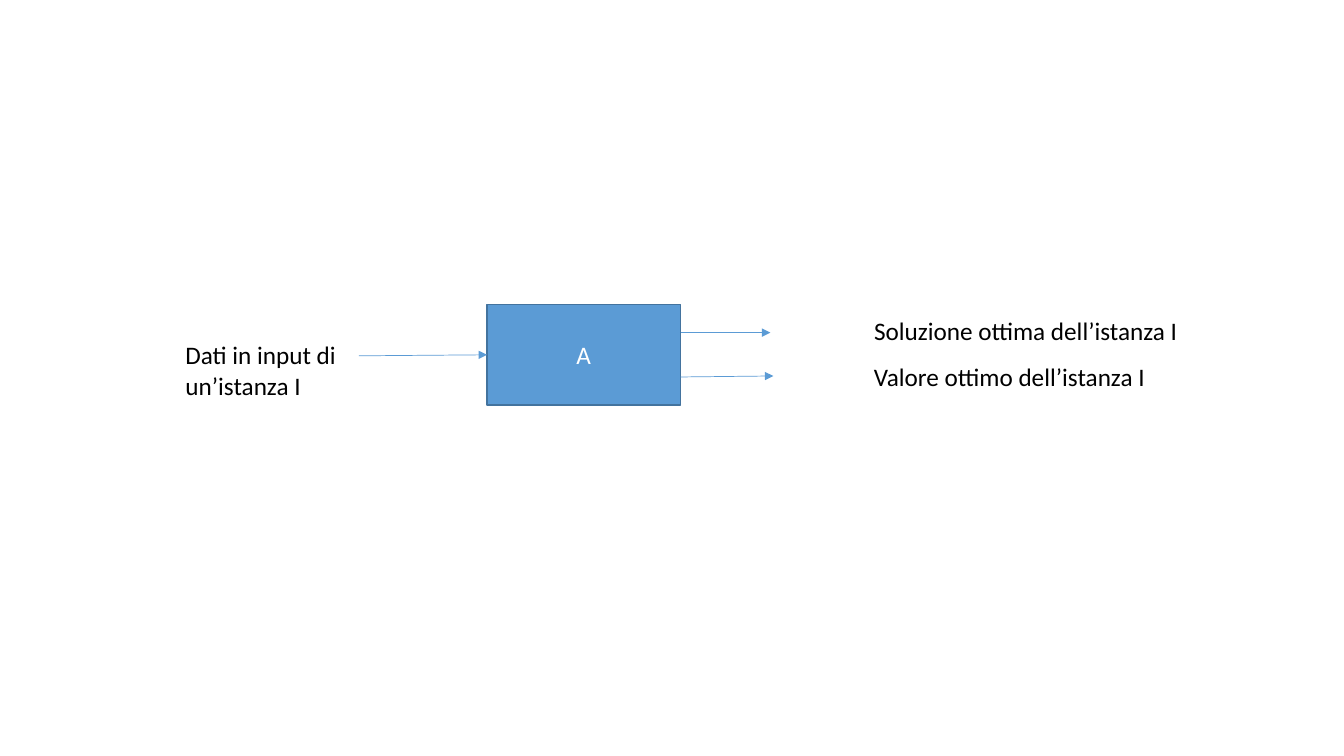
from dataclasses import dataclass
from typing import Optional

import pptx
import pptx.dml.color
import pptx.enum.shapes
import pptx.enum.text
import pptx.oxml
import pptx.oxml.ns
import pptx.util

EMU_PER_PX = 9144


@dataclass(frozen=True)
class Theme:
    font: str = "Calibri"
    text_pt: int = 18
    border_pt: float = 1
    arrow_pt: float = 0.5
    accent: str = "5B9BD5"
    border: str = "43739E"
    dark: str = "000000"
    light: str = "FFFFFF"


@dataclass(frozen=True)
class Box:
    text: str
    left: int
    top: int
    width: int
    height: int


@dataclass(frozen=True)
class Arrow:
    x1: int
    y1: int
    x2: int
    y2: int
    end_site: Optional[int] = None


THEME = Theme()
ALGORITHM = Box("A", 483, 302, 192, 100)
LABELS = [
    Box("Dati in input di\nun’istanza I", 174, 332, 172, 71),
    Box("Soluzione ottima dell’istanza I", 857, 308, 325, 40),
    Box("Valore ottimo dell’istanza I", 857, 354, 293, 40),
]
ARROWS = [
    Arrow(356, 353, 483, 352, end_site=1),
    Arrow(675, 330, 764, 330),
    Arrow(675, 374, 767, 373),
]


def px(n: int) -> pptx.util.Emu:
    return pptx.util.Emu(n * EMU_PER_PX)


def rgb(code: str) -> pptx.dml.color.RGBColor:
    return pptx.dml.color.RGBColor.from_string(code)


def frame(box: Box) -> tuple:
    return px(box.left), px(box.top), px(box.width), px(box.height)


def write(tf, text: str, color: str) -> None:
    tf.text = text
    for p in tf.paragraphs:
        for r in p.runs:
            r.font.name = THEME.font
            r.font.size = pptx.util.Pt(THEME.text_pt)
            r.font.color.rgb = rgb(color)


def add_block(s, box: Box):
    sp = s.shapes.add_shape(pptx.enum.shapes.MSO_SHAPE.RECTANGLE, *frame(box))
    sp.shadow.inherit = False
    sp.fill.solid()
    sp.fill.fore_color.rgb = rgb(THEME.accent)
    sp.line.color.rgb = rgb(THEME.border)
    sp.line.width = pptx.util.Pt(THEME.border_pt)
    tf = sp.text_frame
    tf.vertical_anchor = pptx.enum.text.MSO_ANCHOR.MIDDLE
    write(tf, box.text, THEME.light)
    tf.paragraphs[0].alignment = pptx.enum.text.PP_ALIGN.CENTER
    return sp


def add_label(s, box: Box) -> None:
    tf = s.shapes.add_textbox(*frame(box)).text_frame
    tf.word_wrap = False
    tf.auto_size = pptx.enum.text.MSO_AUTO_SIZE.SHAPE_TO_FIT_TEXT
    write(tf, box.text, THEME.dark)


def add_arrow(s, arrow: Arrow, block) -> None:
    line = s.shapes.add_connector(
        pptx.enum.shapes.MSO_CONNECTOR.STRAIGHT,
        px(arrow.x1), px(arrow.y1), px(arrow.x2), px(arrow.y2),
    )
    if arrow.end_site is not None:
        line.end_connect(block, arrow.end_site)
    line.line.color.rgb = rgb(THEME.accent)
    line.line.width = pptx.util.Pt(THEME.arrow_pt)
    sp_pr = line._element.spPr
    ln = sp_pr.find(pptx.oxml.ns.qn("a:ln"))
    ns = pptx.oxml.ns.nsdecls("a")
    ln.append(pptx.oxml.parse_xml(f'<a:tailEnd {ns} type="triangle"/>'))
    sp_pr.append(pptx.oxml.parse_xml(f"<a:effectLst {ns}/>"))


def main() -> None:
    prs = pptx.Presentation()
    prs.slide_width, prs.slide_height = px(1333), px(750)
    s = prs.slides.add_slide(prs.slide_layouts[6])
    block = add_block(s, ALGORITHM)
    for arrow in ARROWS:
        add_arrow(s, arrow, block)
    for label in LABELS:
        add_label(s, label)
    prs.save("out.pptx")


if __name__ == "__main__":
    main()
